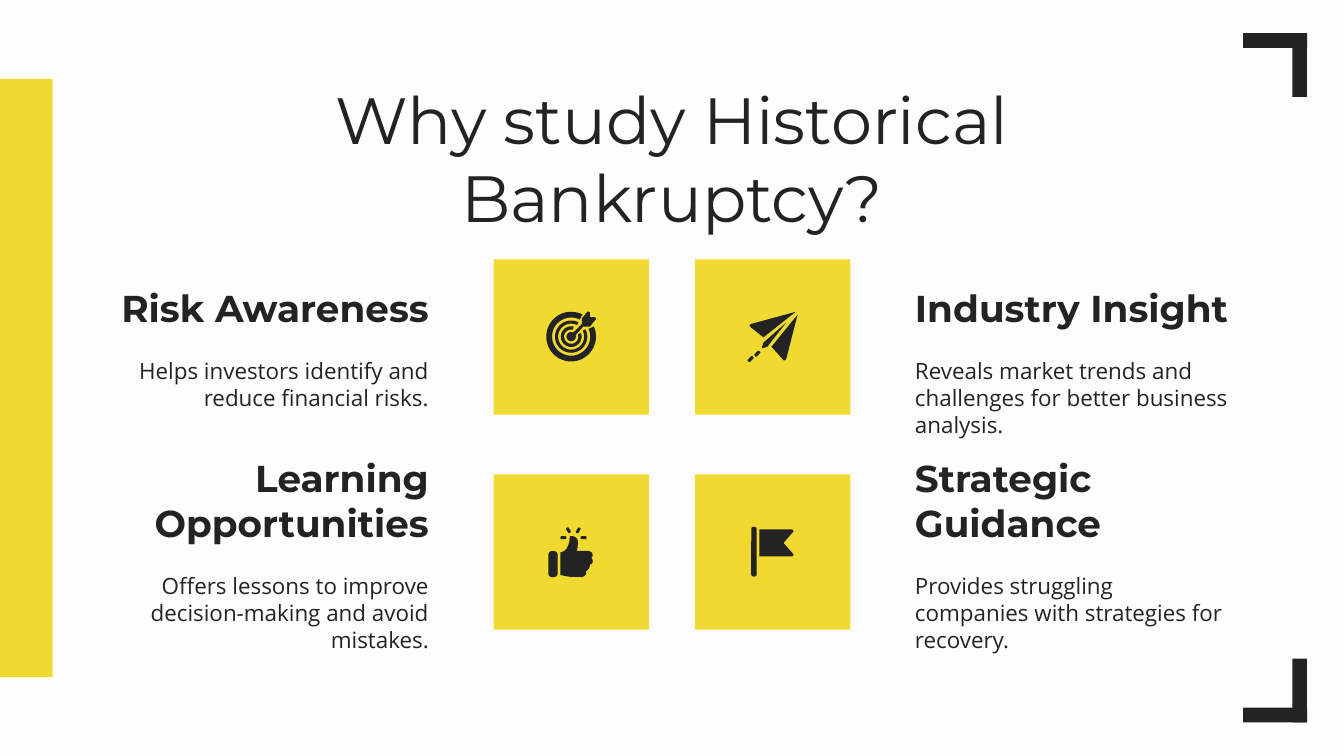
from math import cos, radians, sin

from pptx import Presentation
from pptx.dml.color import RGBColor
from pptx.enum.shapes import MSO_SHAPE
from pptx.enum.text import MSO_ANCHOR, PP_ALIGN
from pptx.util import Inches, Pt

RECT, ROUNDED, OVAL = MSO_SHAPE.RECTANGLE, MSO_SHAPE.ROUNDED_RECTANGLE, MSO_SHAPE.OVAL
TOP, BOTTOM = MSO_ANCHOR.TOP, MSO_ANCHOR.BOTTOM
LEFT, CENTER, RIGHT = PP_ALIGN.LEFT, PP_ALIGN.CENTER, PP_ALIGN.RIGHT
COLUMNS, ROWS = 1000, 562.5
CELL = Inches(0.01)
INK, YELLOW, PAPER = "232323", "F0D931", "FDFDFD"
TILE = 115.5


def color(value):
    return RGBColor.from_string(value)


def cells(*lengths):
    return [round(length * CELL) for length in lengths]


def bezier(start, curve, steps=8):
    knots = [start, curve[:2], curve[2:4], curve[4:]]
    for step in range(1, steps + 1):
        t = step / steps
        weights = ((1 - t) ** 3, 3 * t * (1 - t) ** 2, 3 * t * t * (1 - t), t ** 3)
        yield tuple(sum(w * knot[axis] for w, knot in zip(weights, knots)) for axis in (0, 1))


class Deck:
    def __init__(self):
        self.presentation = Presentation()
        self.presentation.slide_width, self.presentation.slide_height = cells(COLUMNS, ROWS)
        self.slide = self.presentation.slides.add_slide(self.presentation.slide_layouts[6])
        self.slide.background.fill.solid()
        self.slide.background.fill.fore_color.rgb = color(PAPER)

    def paint(self, shape, fill):
        shape.shadow.inherit = False
        shape.fill.solid()
        shape.fill.fore_color.rgb = color(fill)
        shape.line.fill.background()

    def block(self, left, top, width, height, fill=INK, kind=RECT, turn=0):
        shape = self.slide.shapes.add_shape(kind, *cells(left, top, width, height))
        shape.rotation = turn
        if kind == ROUNDED:
            shape.adjustments[0] = 0.4
        self.paint(shape, fill)

    def text(self, words, left, top, width, height, size, font, align, anchor=TOP, bold=False):
        frame = self.slide.shapes.add_textbox(*cells(left, top, width, height)).text_frame
        frame.word_wrap = True
        frame.vertical_anchor = anchor
        frame.margin_left = frame.margin_right = frame.margin_top = frame.margin_bottom = Inches(0.1)
        paragraph = frame.paragraphs[0]
        paragraph.text = words
        paragraph.alignment = align
        paragraph.font.size = Pt(size)
        paragraph.font.name = font
        paragraph.font.bold = bold
        paragraph.font.color.rgb = color(INK)

    def outline(self, *steps):
        points = [steps[0]]
        for step in steps[1:]:
            points.extend(bezier(points[-1], step) if len(step) == 6 else [step])
        start, *rest = [cells(*point) for point in points]
        builder = self.slide.shapes.build_freeform(*start)
        builder.add_line_segments(rest, close=True)
        self.paint(builder.convert_to_shape(), INK)

    def ring(self, x, y, outer, inner, start, end):
        angles = [radians(start + (end - start) * step / 48) for step in range(49)]
        sweep = [(outer, angle) for angle in angles] + [(inner, angle) for angle in reversed(angles)]
        self.outline(*[(x + radius * cos(angle), y + radius * sin(angle)) for radius, angle in sweep])

    def target(self):
        for outer, inner, start, end in ((18.5, 14.2, -24, 297), (12, 9.7, -27, 297), (7.7, 5.3, -20, 284)):
            self.ring(425, 250.5, outer, inner, start, end)
        self.block(421.5, 247, 7, 7, kind=OVAL)
        self.outline((424, 250), (433, 241), (433, 237), (437, 232), (438, 231.7, 439, 232, 439, 233),
                     (439, 236), (442, 236), (443.5, 236, 444, 237.5, 443, 238), (439, 243),
                     (434, 243), (426, 252))

    def paper_plane(self):
        self.block(556, 266, 5, 2.4, kind=ROUNDED, turn=-45)
        self.block(561, 262, 5, 2.4, kind=ROUNDED, turn=-45)
        self.outline((592, 232), (559, 241), (557.5, 241.5, 557.5, 242.5, 558, 243), (568, 251))
        self.outline((593.5, 234), (574, 258), (583, 268), (583.5, 268.5, 584.5, 268, 585, 267))
        self.outline((585, 240), (568, 255), (567, 258), (567, 259, 567.5, 259.5, 568, 259), (571, 258))

    def thumb(self):
        for left, top, turn in ((417, 399, 0), (420.7, 393.5, 60), (428, 393.5, -60), (432, 399, 0)):
            self.block(left, top, 4.5, 2.2, kind=ROUNDED, turn=turn)
        self.block(408, 410, 7, 19.5, kind=ROUNDED)
        self.outline((425, 399), (424, 399, 424, 399, 424, 400), (424, 402, 423, 407, 421, 409),
                     (420, 410, 418, 411, 417, 411), (417, 428), (419, 428, 422, 429.3, 426, 429.3),
                     (433, 429.3), (435, 429.3, 437, 427, 436, 425), (438, 424, 439, 422, 439, 420),
                     (441, 420, 442, 417, 440, 415), (441, 414, 441, 414, 441, 413),
                     (441, 411, 439, 410, 437, 410), (429, 410), (430, 408, 430, 405, 430, 403),
                     (430, 401, 428, 399, 426, 399))

    def flag(self):
        self.block(559, 392, 4, 37, kind=ROUNDED)
        self.outline((565, 394), (565, 414), (589, 414), (590, 414, 591, 413, 590, 412),
                     (583, 404), (590, 396), (591, 395, 590, 394, 589, 394))


def main():
    deck = Deck()
    deck.block(-39.5, 58.7, 78.7, 445)
    deck.paint(deck.slide.shapes[0], YELLOW)
    for bar_top, post_top in ((24.7, 24.7), (526.5, 490)):
        deck.block(925, bar_top, 47.5, 11)
        deck.block(961.5, post_top, 11, 47.5)

    deck.text("Why study Historical Bankruptcy?", 78.7, 48.7, 842.6, 63, 35, "Montserrat", CENTER)
    reasons = (
        ("Risk Awareness", "Helps investors identify and reduce financial risks.", 0, 0, 250, 250),
        ("Industry Insight", "Reveals market trends and challenges for better business analysis.", 1, 0, 276, 303),
        ("Learning Opportunities", "Offers lessons to improve decision-making and avoid mistakes.", 0, 1, 250, 250),
        ("Strategic Guidance", "Provides struggling companies with strategies for recovery.", 1, 1, 250, 250),
    )
    for heading, detail, column, row, heading_width, detail_width in reasons:
        left, align = ((79, RIGHT), (671, LEFT))[column]
        top = 193 + 160 * row
        deck.text(heading, left, top, heading_width, 62.5, 20, "Montserrat", align, BOTTOM, True)
        deck.text(detail, left, top + 62.7, detail_width, 53, 12, "Open Sans", align)
        deck.block(367.3 + 150 * column, top, TILE, TILE, YELLOW)

    deck.target()
    deck.paper_plane()
    deck.thumb()
    deck.flag()
    deck.presentation.save("out.pptx")


if __name__ == "__main__":
    main()
